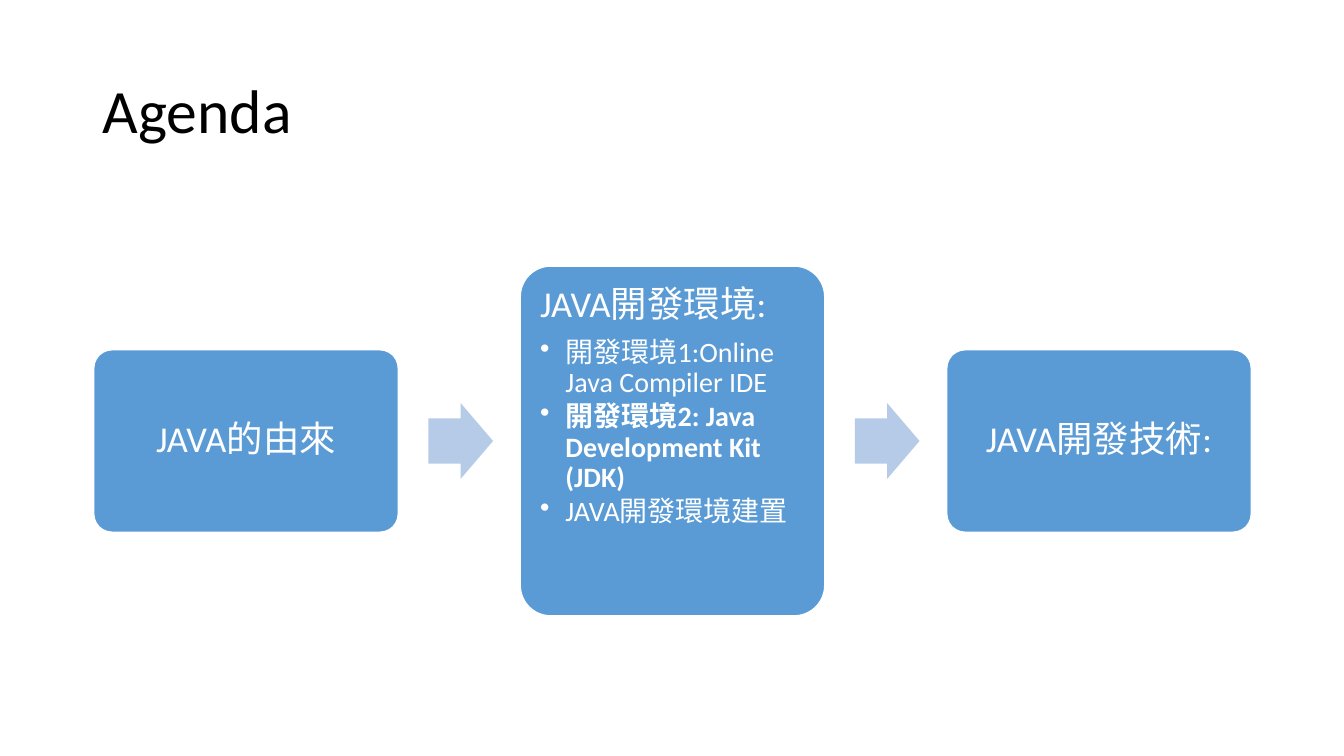
from dataclasses import dataclass

from lxml.etree import SubElement
from pptx import Presentation
from pptx.dml.color import RGBColor
from pptx.enum.shapes import MSO_SHAPE
from pptx.enum.text import MSO_ANCHOR, PP_ALIGN
from pptx.oxml.ns import qn
from pptx.util import Inches, Pt


@dataclass(frozen=True)
class Theme:
    font: str = "Calibri"
    ink: str = "000000"
    white: str = "FFFFFF"
    box: str = "5B9BD5"
    arrow: str = "B5CBE7"
    title_size: int = 44
    head_size: int = 26
    item_size: int = 20


def write(p, text, *, font, size, color, bold=False, align=PP_ALIGN.LEFT,
          after=0, bullet=False):
    """Fill one paragraph with formatted text."""
    p.alignment = align
    p.line_spacing = 0.9
    p.space_after = Pt(after)
    r = p.add_run()
    r.text = text
    r.font.name = font
    r.font.size = Pt(size)
    r.font.bold = bold
    r.font.color.rgb = RGBColor.from_string(color)
    if bullet:
        pPr = p._p.get_or_add_pPr()
        pPr.set("marL", str(Inches(0.25)))
        pPr.set("indent", str(-Inches(0.25)))
        SubElement(pPr, qn("a:buChar"), char="•")


class AgendaSlide:
    def __init__(self, prs, theme):
        self.theme = theme
        self.s = prs.slides.add_slide(prs.slide_layouts[6])

    def title(self, text, x, y, w, h):
        t = self.theme
        sp = self.s.shapes.add_textbox(Inches(x), Inches(y), Inches(w), Inches(h))
        tf = sp.text_frame
        tf.word_wrap = True
        tf.vertical_anchor = MSO_ANCHOR.MIDDLE
        write(tf.paragraphs[0], text, font=t.font, size=t.title_size, color=t.ink)

    def shape(self, kind, x, mid, w, h, fill, adjustments):
        """Add a filled shape centred vertically on mid."""
        sp = self.s.shapes.add_shape(
            kind, Inches(x), Inches(mid - h / 2), Inches(w), Inches(h))
        sp.shadow.inherit = False
        sp.fill.solid()
        sp.fill.fore_color.rgb = RGBColor.from_string(fill)
        sp.line.fill.background()
        for i, value in enumerate(adjustments):
            sp.adjustments[i] = value
        return sp

    def arrow(self, x, mid):
        self.shape(MSO_SHAPE.RIGHT_ARROW, x, mid, 0.64, 0.75,
                   self.theme.arrow, (0.6, 0.5))

    def box(self, x, mid, w, h, heading, items):
        t = self.theme
        sp = self.shape(MSO_SHAPE.ROUNDED_RECTANGLE, x, mid, w, h, t.box, (0.1,))
        sp.line.color.rgb = RGBColor.from_string(t.white)
        sp.line.width = Pt(1)
        tf = sp.text_frame
        tf.word_wrap = True
        tf.margin_left = tf.margin_right = Inches(0.11)
        tf.margin_top = tf.margin_bottom = Inches(0.11)
        tf.vertical_anchor = MSO_ANCHOR.TOP if items else MSO_ANCHOR.MIDDLE
        write(tf.paragraphs[0], heading, font=t.font, size=t.head_size,
              color=t.white, after=9,
              align=PP_ALIGN.LEFT if items else PP_ALIGN.CENTER)
        for text, bold in items:
            write(tf.add_paragraph(), text, font=t.font, size=t.item_size,
                  color=t.white, bold=bold, after=3, bullet=True)


# Steps: heading, box height, bullets as (text, bold)
STEPS = [
    ("JAVA的由來", 1.81, []),
    ("JAVA開發環境:", 3.47, [
        ("開發環境1:Online Java Compiler IDE", False),
        ("開發環境2: Java Development Kit (JDK)", True),
        ("JAVA開發環境建置", False),
    ]),
    ("JAVA開發技術:", 1.81, []),
]
LEFT, PITCH, BOX_W, MID, ARROW_GAP = 0.93, 4.23, 3.02, 4.375, 0.3


def main():
    prs = Presentation()
    prs.slide_width, prs.slide_height = Inches(13.33), Inches(7.5)
    slide = AgendaSlide(prs, Theme())

    # Title
    slide.title("Agenda", 0.92, 0.4, 11.5, 1.45)

    # Process: boxes with an arrow before each one but the first
    for i, (heading, height, items) in enumerate(STEPS):
        x = LEFT + i * PITCH
        if i:
            slide.arrow(x - PITCH + BOX_W + ARROW_GAP, MID)
        slide.box(x, MID, BOX_W, height, heading, items)

    prs.save("out.pptx")


if __name__ == "__main__":
    main()
